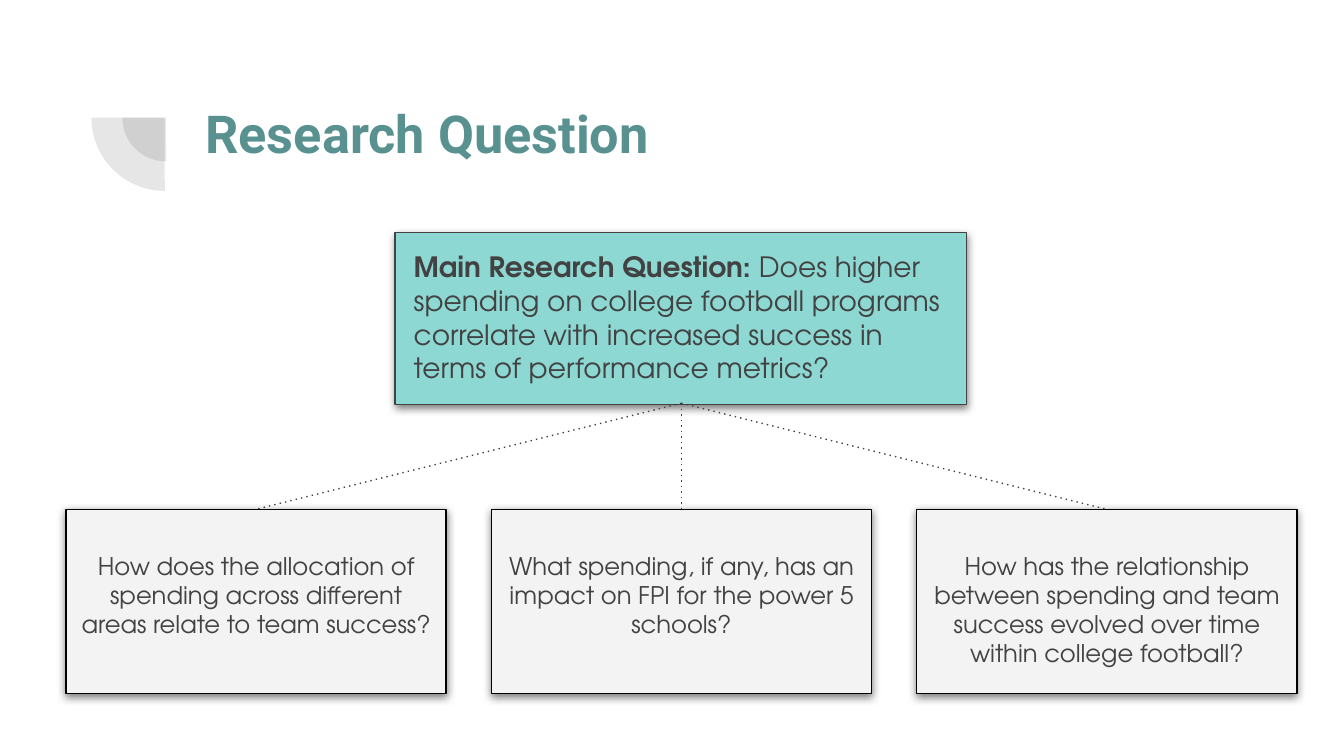
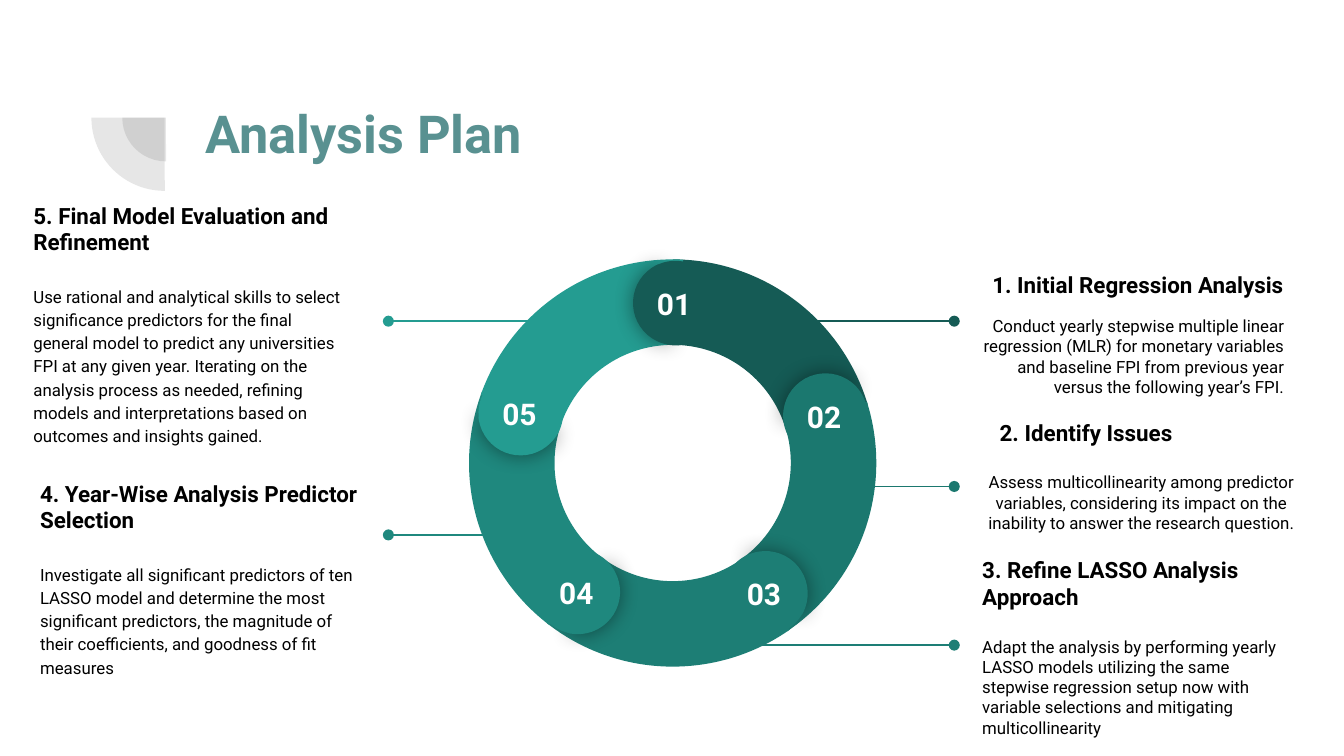
import math

from lxml import etree
from pptx import Presentation
from pptx.dml.color import RGBColor
from pptx.enum import shapes, text
from pptx.oxml.ns import qn
from pptx.util import Inches, Pt

KIND = shapes.MSO_SHAPE
ALIGN = text.PP_ALIGN
HEAD, BODY = "Roboto", "TeX Gyre Adventor"
INK = {
    "title": "599191", "grey": "424242", "black": "000000", "white": "FFFFFF",
    "main": "8DD8D3", "sub": "F3F3F3",
    "01": "155B55", "02": "1B786F", "03": "1D7E75", "04": "1F887E", "05": "249C91",
}


def rgb(name):
    return RGBColor.from_string(INK[name])


def child(node, tag, **attrs):
    return etree.SubElement(node, qn(tag), {k: str(v) for k, v in attrs.items()})


def shape(slide, kind, box, fill, edge=None, turn=0, adj=()):
    item = slide.shapes.add_shape(kind, *map(Inches, box))
    item.shadow.inherit = False
    item.fill.solid()
    item.fill.fore_color.rgb = rgb(fill)
    if edge:
        item.line.color.rgb = rgb(edge)
        item.line.width = Pt(0.75)
    else:
        item.line.fill.background()
    item.rotation = turn
    for i, value in enumerate(adj):
        item.adjustments[i] = value
    return item


def shade(item, alpha, blur, dist=0):
    """Cast a black shadow straight down."""
    glow = child(item._element.spPr.find(qn("a:effectLst")), "a:outerShdw",
                 blurRad=Pt(blur), dist=Pt(dist), dir=5400000,
                 algn="bl", rotWithShape=0)
    tint = child(glow, "a:srgbClr", val=INK["black"])
    child(tint, "a:alpha", val=alpha * 1000)


def link(slide, start, end, color, tag, **attrs):
    """Draw a thin line whose dash or end mark is given by tag."""
    line = slide.shapes.add_connector(
        shapes.MSO_CONNECTOR.STRAIGHT, *map(Inches, (*start, *end)))
    line.line.color.rgb = rgb(color)
    line.line.width = Pt(0.75)
    props = line._element.spPr
    child(props.find(qn("a:ln")), tag, **attrs)
    child(props, "a:effectLst")


def frame(item, anchor=text.MSO_ANCHOR.TOP, top=0.1):
    body = item.text_frame
    body.word_wrap = True
    body.auto_size = text.MSO_AUTO_SIZE.NONE
    body.vertical_anchor = anchor
    body.margin_left = body.margin_right = body.margin_bottom = Inches(0.1)
    body.margin_top = Inches(top)
    return body


def area(slide, box, anchor=text.MSO_ANCHOR.TOP):
    return frame(slide.shapes.add_textbox(*map(Inches, box)), anchor)


def style(para, words, size, name, color, bold=False, align=ALIGN.LEFT):
    para.text = words
    para.alignment = align
    font = para.font
    font.size, font.name, font.bold = Pt(size), name, bold
    font.color.rgb = rgb(color)


def banner(slide, title, box=(0.68, 0.33, 8.44, 1.41)):
    """Place the two quarter discs and the slide title."""
    x, y, w, h = box
    for gap, size in ((0.23, 0.65), (0, 1.09)):
        disc = shape(slide, KIND.PIE, (x + gap, y + gap * 0.96, size, size),
                     "grey", turn=270, adj=(107.93, 162))
        tint = disc._element.spPr.find(qn("a:solidFill"))[0]
        child(tint, "a:alpha", val=13000)
    para = area(slide, (x + 0.75, y + 0.32, w - 0.75, h - 0.32)).paragraphs[0]
    style(para, title, 28, HEAD, "title", True)


def card(slide, box, fill, edge):
    item = shape(slide, KIND.RECTANGLE, box, fill, edge)
    shade(item, 50, 4.5, 1.5)
    return item


def tree(slide, box, lead, main, subs):
    """Place the main question above a row of linked sub-questions."""
    x, y, w, h = box
    wide, tall, low = 2.83, 1.37, 1.28
    step = (w - wide) / (len(subs) - 1)
    left, mid = x + 2.45, x + w / 2
    card(slide, (left, y, 4.25, low), "main", "grey")
    for i, words in enumerate(subs):
        spot = x + i * step, y + h - tall
        item = card(slide, (*spot, wide, tall), "sub", "black")
        style(frame(item, top=0.31).paragraphs[0], words, 13, BODY, "grey",
              align=ALIGN.CENTER)
        link(slide, (mid, y + low - 0.01), (spot[0] + wide / 2, spot[1]),
             "grey", "a:prstDash", val="dot")
    para = area(slide, (left + 0.04, y + 0.03, 4.14, 1.2)).paragraphs[0]
    style(para, lead, 15, BODY, "grey")
    para.runs[0].font.bold = True
    para.add_run().text = main


def note(slide, box, head, words, gap, lead=1.0, align=ALIGN.LEFT,
         flow=None, indent=0):
    """Place a heading and its text, gap points apart."""
    body = area(slide, box, text.MSO_ANCHOR.MIDDLE)
    top, rest = body.paragraphs[0], body.add_paragraph()
    if indent:
        top._p.get_or_add_pPr().set("marL", str(Inches(indent)))
    rest.space_before = Pt(gap)
    rest.line_spacing = lead
    style(top, head, 12, HEAD, "black", True, align)
    style(rest, words, 9, HEAD, "black", align=flow or align)


def ring(slide, box, names):
    """Place equal ring segments, each opening with a round numbered cap."""
    x, y, size, _ = box
    mid, cap, reach = size / 2, 0.63, 1.19
    step = 360 / len(names)
    for i, name in enumerate(names):
        shape(slide, KIND.BLOCK_ARC, box, name, turn=(60 + i * 72.4) % 360,
              adj=(126.03, 170, 0.21))
    for i, name in enumerate(names):
        angle = math.radians(1 + i * (step - 0.2))
        cx = x + mid + reach * math.sin(angle)
        cy = y + mid - reach * math.cos(angle)
        spot = cx - cap / 2, cy - cap / 2, cap, cap
        turn = i * step - 4
        back = shape(slide, KIND.PIE, spot, name, turn=turn % 360,
                     adj=(61.9, 149.96))
        shade(back, 43, 11.2)
        shape(slide, KIND.PIE, spot, name, turn=(turn + 179.3) % 360,
              adj=(40.28, 171.84))
        para = area(slide, (cx - 0.29, cy - 0.23, 0.56, 0.29)).paragraphs[0]
        style(para, name, 16, HEAD, "white", True, ALIGN.CENTER)


def plan(slide, box):
    """Place the five notes, their leader lines and the ring."""
    x, y, w, h = box
    leads = (("05", 4.23, 2.89, 2.39), ("04", 3.91, 2.89, 3.98),
             ("03", 5.09, 7.1, 4.8), ("01", 5.7, 7.1, 2.39),
             ("02", 6.14, 7.1, 3.62))
    for name, start, end, level in leads:
        link(slide, (x + start, y + level), (x + end, y + level), name,
             "a:tailEnd", type="oval")
    note(slide, (x + 0.15, y + 1.51, 2.51, 1.8),
         "5. Final Model Evaluation and Refinement",
         "Use rational and analytical skills to select significance predictors "
         "for the final general model to predict any universities FPI at any "
         "given year. Iterating on the analysis process as needed, refining "
         "models and interpretations based on outcomes and insights gained.",
         15, 1.15)
    note(slide, (x + 0.2, y + 3.48, 2.64, 1.65),
         "4. Year-Wise Analysis Predictor Selection",
         "Investigate all significant predictors of ten LASSO model and "
         "determine the most significant predictors, the magnitude of their "
         "coefficients, and goodness of fit measures", 15, 1.15)
    note(slide, (x + 7.21, y + 4.2, 2.51, 1.23),
         "3. Refine LASSO Analysis Approach",
         "Adapt the analysis by performing yearly LASSO models utilizing the "
         "same stepwise regression setup now with variable selections and "
         "mitigating multicollinearity", 14)
    note(slide, (x + 7.15, y + 1.94, 2.5, 1.09),
         "1. Initial Regression Analysis",
         "Conduct yearly stepwise multiple linear regression (MLR) for "
         "monetary variables and baseline FPI from previous year versus the "
         "following year’s FPI.", 9.4, align=ALIGN.RIGHT)
    note(slide, (x + 7.17, y + 2.95, 2.64, 1.18), "2. Identify Issues",
         "Assess multicollinearity among predictor variables, considering its "
         "impact on the inability to answer the research question.", 14,
         flow=ALIGN.CENTER, indent=0.17)
    ring(slide, (x + w / 2 - 1.51, y + 1.93, 3.03, 3.03),
         ("01", "02", "03", "04", "05"))


def main():
    deck = Presentation()
    deck.slide_width = Inches(10)
    deck.slide_height = deck.slide_width * 9 // 16
    blank = deck.slide_layouts[6]

    slide = deck.slides.add_slide(blank)
    banner(slide, "Research Question")
    tree(slide, (0.49, 1.73, 9.16, 3.43), "Main Research Question: ",
         "Does higher spending on college football programs correlate with "
         "increased success in terms of performance metrics?",
         ("How does the allocation of spending across different areas relate "
          "to team success?",
          "What spending, if any, has an impact on FPI for the power 5 schools?",
          "How has the relationship between spending and team success evolved "
          "over time within college football?"))

    slide = deck.slides.add_slide(blank)
    banner(slide, "Analysis Plan")
    plan(slide, (0, 0, 10, 5.62))
    deck.save("out.pptx")


if __name__ == "__main__":
    main()
